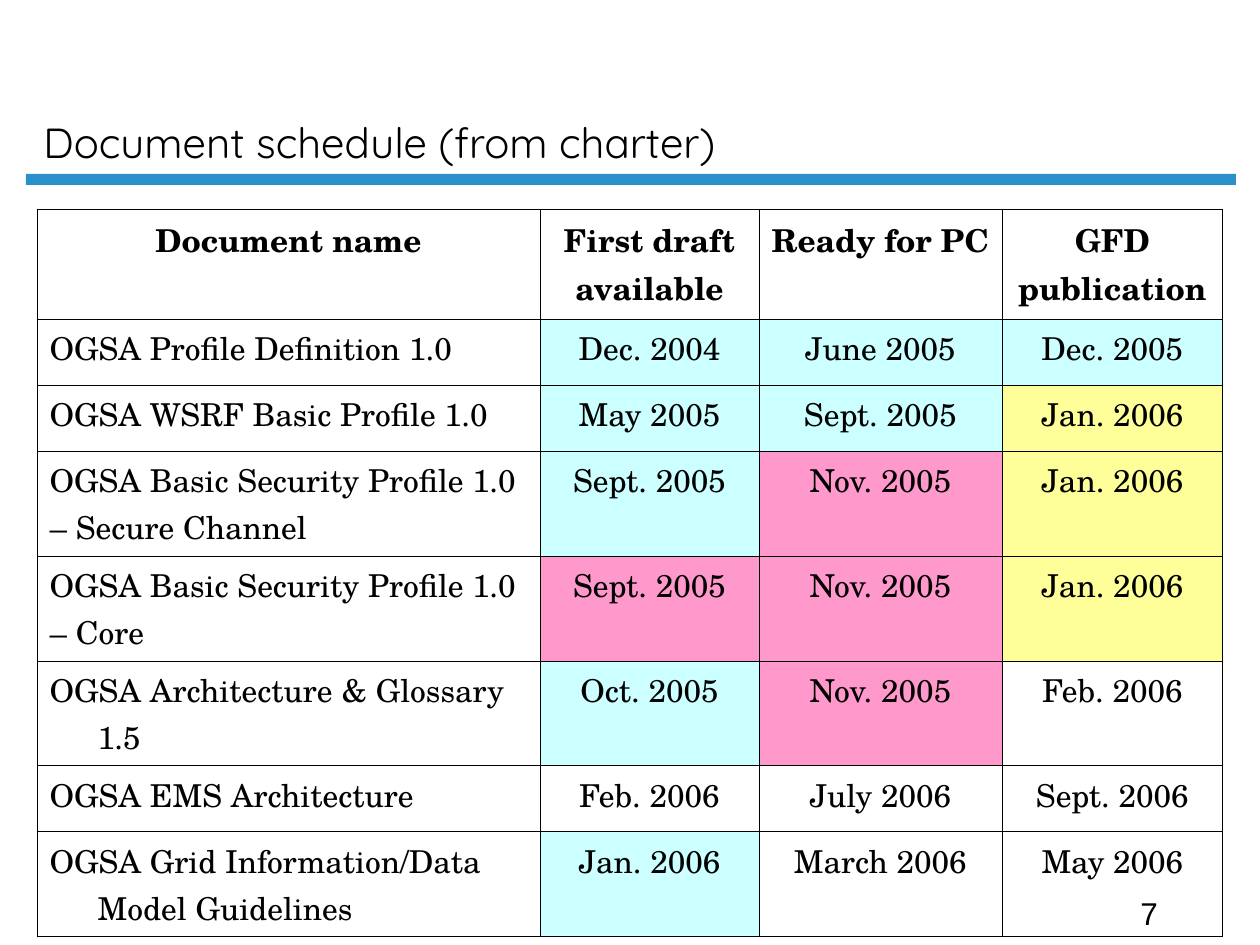
from lxml import etree
from pptx import Presentation
from pptx.dml.color import RGBColor
from pptx.enum.shapes import MSO_SHAPE
from pptx.enum.text import MSO_ANCHOR, PP_ALIGN
from pptx.oxml.ns import qn
from pptx.util import Pt

RECT = MSO_SHAPE.RECTANGLE
LOW, TOP = MSO_ANCHOR.BOTTOM, MSO_ANCHOR.TOP
LEFT, MID = PP_ALIGN.LEFT, PP_ALIGN.CENTER
PX = 914400 // 126

BLACK, BLUE = "000000", "2990CA"
FILLS = {"c": "CCFFFF", "y": "FFFF99", "p": "FF99CC"}
SERIF = "TeX Gyre Schola"

TEXTS = [
    ("7", (1128, 888, 168, 50), TOP, {"name": "Arial", "size": Pt(18)}),
    ("Document schedule (from charter)", (31, 16, 1079, 157), LOW,
     {"name": "Quicksand", "size": Pt(24)}),
]
COLS = [503, 219, 243, 221]
HEAD, ONE, TWO = 110, 66, 105
ROWS = [
    (HEAD, "    ", ["Document name", "First draft\navailable", "Ready for PC", "GFD\npublication"]),
    (ONE, " ccc", ["OGSA Profile Definition 1.0", "Dec. 2004", "June 2005", "Dec. 2005"]),
    (ONE, " ccy", ["OGSA WSRF Basic Profile 1.0", "May 2005", "Sept. 2005", "Jan. 2006"]),
    (TWO, " cpy", ["OGSA Basic Security Profile 1.0\n– Secure Channel",
                   "Sept. 2005", "Nov. 2005", "Jan. 2006"]),
    (TWO, " ppy", ["OGSA Basic Security Profile 1.0\n– Core",
                   "Sept. 2005", "Nov. 2005", "Jan. 2006"]),
    (TWO, " cp ", ["OGSA Architecture & Glossary 1.5", "Oct. 2005", "Nov. 2005", "Feb. 2006"]),
    (ONE, "    ", ["OGSA EMS Architecture", "Feb. 2006", "July 2006", "Sept. 2006"]),
    (TWO, " c  ", ["OGSA Grid Information/Data Model Guidelines",
                   "Jan. 2006", "March 2006", "May 2006"]),
]


def px(*nums):
    return [n * PX for n in nums]


def paint(fill, tint):
    fill.solid()
    fill.fore_color.rgb = RGBColor.from_string(tint)


def style(para, form):
    for key, val in form.items():
        setattr(para.font, key, val)
    para.font.color.rgb = RGBColor.from_string(BLACK)


def edge(cell):
    props = cell._tc.get_or_add_tcPr()
    for side in ("lnL", "lnR", "lnT", "lnB"):
        line = etree.SubElement(props, qn("a:" + side), w="5715")
        fill = etree.SubElement(line, qn("a:solidFill"))
        etree.SubElement(fill, qn("a:srgbClr"), val=BLACK)


def write(slide, text, box, anchor, form):
    frame = slide.shapes.add_textbox(*px(*box)).text_frame
    frame.word_wrap = True
    frame.vertical_anchor = anchor
    frame.text = text
    style(frame.paragraphs[0], form)


def fill_cell(cell, text, tint, bold, align):
    edge(cell)
    if tint in FILLS:
        paint(cell.fill, FILLS[tint])
    else:
        cell.fill.background()
    cell.text = text
    for para in cell.text_frame.paragraphs:
        para.alignment = align
        props = para._p.get_or_add_pPr()
        props.set("marL", str(48 * PX))
        props.set("indent", str(-48 * PX))
        style(para, {"name": SERIF, "size": Pt(18), "bold": bold})


def add_grid(slide):
    tall = sum(row[0] for row in ROWS)
    box = px(37, 209, sum(COLS), tall)
    grid = slide.shapes.add_table(len(ROWS), len(COLS), *box).table
    grid.first_row = grid.horz_banding = False
    for col, wide in zip(grid.columns, COLS):
        col.width = wide * PX
    for r, (high, tints, texts) in enumerate(ROWS):
        grid.rows[r].height = high * PX
        for c, (text, tint) in enumerate(zip(texts, tints)):
            align = LEFT if r and not c else MID
            fill_cell(grid.cell(r, c), text, tint, r == 0, align)


def main():
    deck = Presentation()
    deck.slide_width, deck.slide_height = px(1260, 945)
    slide = deck.slides.add_slide(deck.slide_layouts[6])
    bar = slide.shapes.add_shape(RECT, *px(26, 174, 1210, 11))
    bar.shadow.inherit = False
    paint(bar.fill, BLUE)
    bar.line.fill.background()
    for item in TEXTS:
        write(slide, *item)
    add_grid(slide)
    deck.save("out.pptx")


if __name__ == "__main__":
    main()
